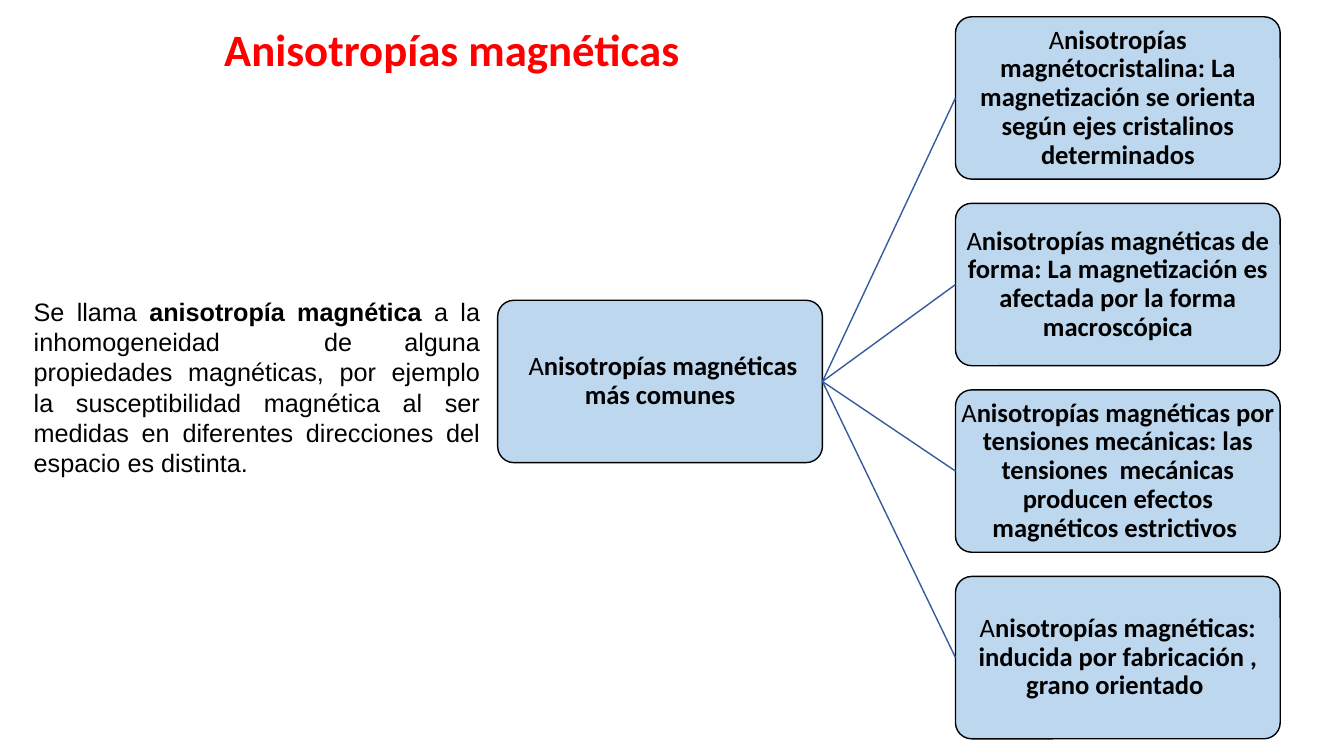
from lxml.etree import SubElement
from pptx import Presentation
from pptx.dml.color import RGBColor
from pptx.enum.shapes import MSO_CONNECTOR, MSO_SHAPE
from pptx.enum.text import MSO_ANCHOR, PP_ALIGN
from pptx.oxml.ns import qn
from pptx.util import Pt

COLOURS = {"black": "000000", "red": "FF0000", "node": "BDD7EE", "link": "365B9D"}
NODE_WIDTH, NODE_HEIGHT = 232, 116
ROOT_LEFT, ROOT_TOP = 355.5, 214.5
BRANCH_LEFT, BRANCH_TOP, BRANCH_STEP = 682.5, 12, 133.25
TOP, LEFT, BOTTOM, RIGHT = range(4)

BRANCHES = [
    "nisotropías magnétocristalina: La magnetización se orienta según ejes cristalinos determinados",
    "nisotropías magnéticas de forma: La magnetización es afectada por la forma macroscópica",
    "nisotropías magnéticas por tensiones mecánicas: las tensiones  mecánicas producen efectos magnéticos estrictivos ",
    "nisotropías magnéticas: inducida por fabricación , grano orientado ",
]


class Painter:
    def __init__(self, page):
        self.page = page

    def colour(self, name):
        return RGBColor.from_string(COLOURS[name])

    def apply(self, target, values):
        for name, value in values.items():
            setattr(target, name, value)

    def fill_text(self, frame, spans, size, font, colour, **paragraph_format):
        frame.word_wrap = True
        para = frame.paragraphs[0]
        self.apply(para, paragraph_format)
        for text, bold in spans:
            span = para.add_run()
            span.text = text
            self.apply(span.font, {"size": Pt(size), "name": font, "bold": bold})
            span.font.color.rgb = self.colour(colour)

    def text(self, left, top, width, height, spans, size, font, colour, alignment):
        box = self.page.shapes.add_textbox(Pt(left), Pt(top), Pt(width), Pt(height))
        self.fill_text(box.text_frame, spans, size, font, colour, alignment=alignment)

    def node(self, left, top, spans):
        box = self.page.shapes.add_shape(
            MSO_SHAPE.ROUNDED_RECTANGLE, Pt(left), Pt(top), Pt(NODE_WIDTH), Pt(NODE_HEIGHT))
        box.adjustments[0] = 0.1
        box.shadow.inherit = False
        box.fill.solid()
        box.fill.fore_color.rgb = self.colour("node")
        box.line.color.rgb = self.colour("black")
        box.line.width = Pt(1)
        self.apply(box.text_frame, {
            "margin_left": 0, "margin_right": 0, "margin_top": 0, "margin_bottom": 0,
            "vertical_anchor": MSO_ANCHOR.MIDDLE})
        self.fill_text(box.text_frame, spans, 19, "Calibri", "black",
                       alignment=PP_ALIGN.CENTER, line_spacing=0.9)
        return box

    def link(self, start, end):
        line = self.page.shapes.add_connector(MSO_CONNECTOR.STRAIGHT, 0, 0, 0, 0)
        line.begin_connect(start, RIGHT)
        line.end_connect(end, LEFT)
        line.line.color.rgb = self.colour("link")
        line.line.width = Pt(1)
        SubElement(line._element.spPr, qn("a:effectLst"))


def main():
    deck = Presentation()
    deck.slide_width, deck.slide_height = Pt(960), Pt(540)
    painter = Painter(deck.slides.add_slide(deck.slide_layouts[6]))

    root = painter.node(ROOT_LEFT, ROOT_TOP,
                        [(" A", False), ("nisotropías magnéticas más comunes", True)])
    for index, words in enumerate(BRANCHES):
        branch = painter.node(BRANCH_LEFT, BRANCH_TOP + index * BRANCH_STEP,
                              [("A", False), (words, True)])
        painter.link(root, branch)

    painter.text(17, 12, 619, 68, [("Anisotropías magnéticas ", True)],
                 32, "Calibri", "red", PP_ALIGN.CENTER)
    painter.text(17, 208, 333, 269, [
        ("Se llama ", False),
        ("anisotropía magnética", True),
        (" a la inhomogeneidad  de alguna propiedades magnéticas, por ejemplo la susceptibilidad "
         "magnética al ser medidas en diferentes direcciones del espacio es distinta. ", False),
    ], 18, "Arial", "black", PP_ALIGN.JUSTIFY)

    deck.save("out.pptx")


if __name__ == "__main__":
    main()
